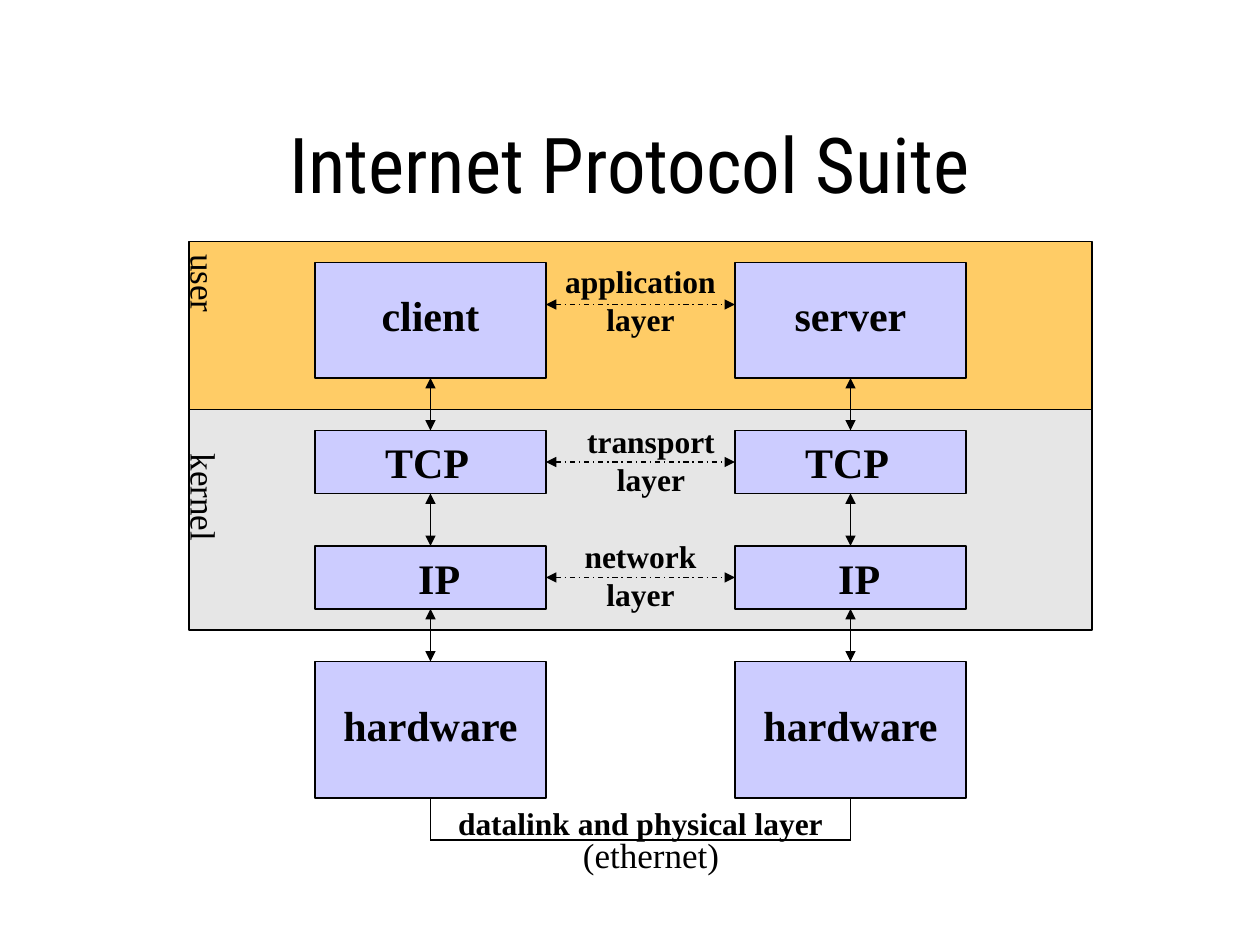
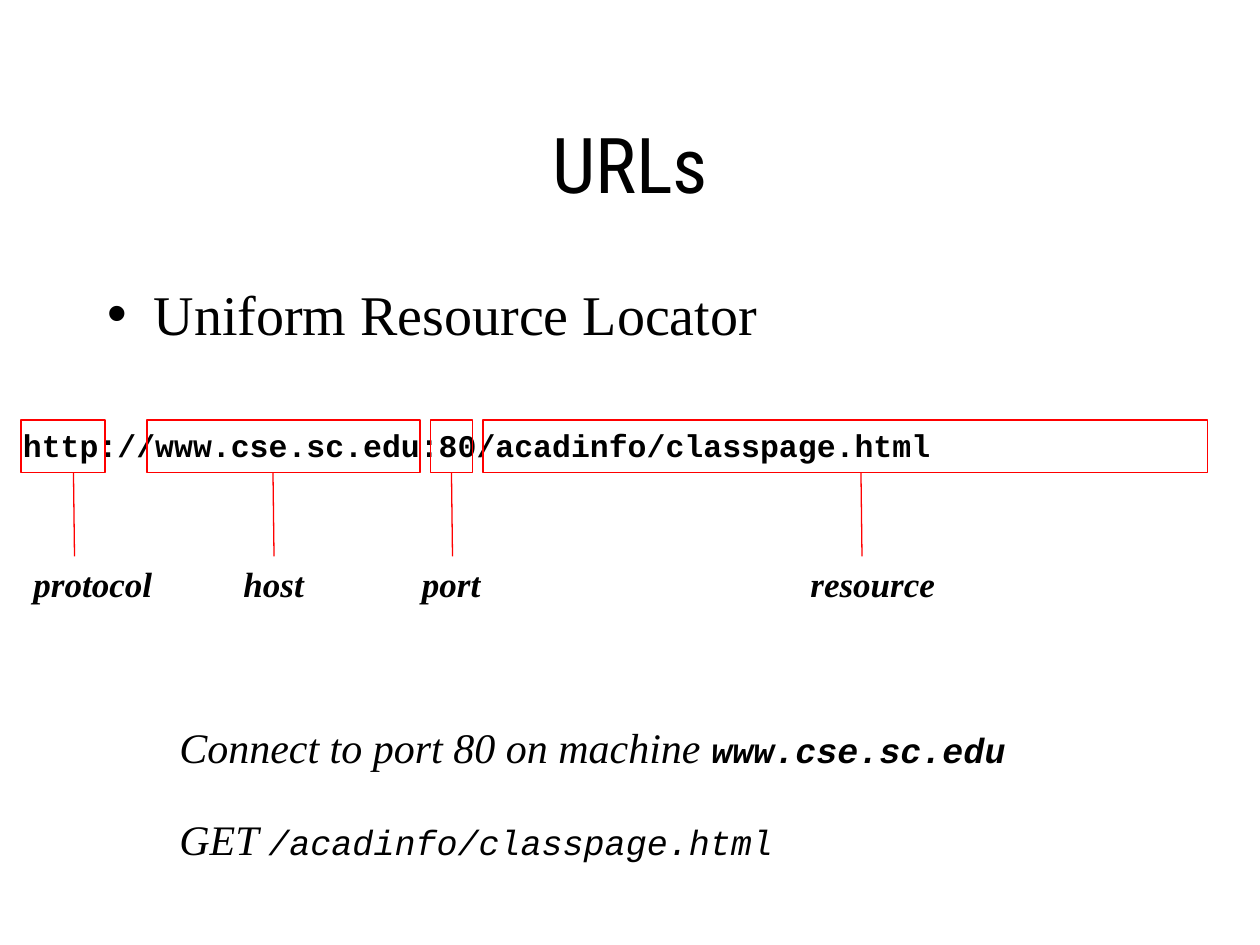
from pptx import Presentation, util as u
from pptx.dml.color import RGBColor
from pptx.enum import dml, shapes, text as tx
from pptx.oxml import parse_xml
from pptx.oxml.ns import nsdecls, qn

BLACK = RGBColor(0x00, 0x00, 0x00)
RED = RGBColor(0xFF, 0x00, 0x00)
GREY = RGBColor(0xE6, 0xE6, 0xE6)
GOLD = RGBColor(0xFF, 0xCC, 0x66)
LILAC = RGBColor(0xCC, 0xCC, 0xFF)
HEAD, SERIF, MONO = "Roboto Condensed", "Times New Roman", "Courier New"
MID = tx.PP_ALIGN.CENTER
LEFT = tx.PP_ALIGN.LEFT

# Grid: 120 columns by 90 rows, twelve to the inch
deck = Presentation()
deck.slide_width, deck.slide_height = u.Inches(10), u.Inches(7.5)


def grid(*cells):
    return [u.Inches(n / 12) for n in cells]


def write(frame, *paras, size=20, font=SERIF, bold=False, italic=False,
          align=MID, gap=0):
    """Fill a frame; a paragraph is a string or a list of (words, format)."""
    for i, para in enumerate(paras):
        p = frame.paragraphs[0] if i == 0 else frame.add_paragraph()
        p.alignment, p.space_before = align, u.Pt(gap)
        for words, own in [(para, {})] if isinstance(para, str) else para:
            r = p.add_run()
            r.text = words
            f = r.font
            f.size = u.Pt(own.get("size", size))
            f.name = own.get("font", font)
            f.bold = own.get("bold", bold)
            f.italic = own.get("italic", italic)
            f.color.rgb = BLACK


def label(slide, box, *paras, wrap=True, turn=False, **form):
    frame = slide.shapes.add_textbox(*grid(*box)).text_frame
    frame.word_wrap = wrap
    if turn:
        # A turned label keeps its full height, so that it stays centred
        frame.auto_size = tx.MSO_AUTO_SIZE.NONE
        frame._txBody.bodyPr.set("vert", "eaVert")
        frame.margin_left = frame.margin_right = u.Inches(0.05)
        frame.margin_top = frame.margin_bottom = u.Inches(0.1)
    else:
        frame.auto_size = tx.MSO_AUTO_SIZE.SHAPE_TO_FIT_TEXT
    write(frame, *paras, **form)


def rect(slide, box, fill=None, line=BLACK):
    shape = slide.shapes.add_shape(shapes.MSO_SHAPE.RECTANGLE, *grid(*box))
    shape.shadow.inherit = False
    if fill is None:
        shape.fill.background()
    else:
        shape.fill.solid()
        shape.fill.fore_color.rgb = fill
    shape.line.color.rgb, shape.line.width = line, u.Pt(0.75)


def wire(slide, ends, color=BLACK, heads=False, dash=False):
    link = slide.shapes.add_connector(shapes.MSO_CONNECTOR.STRAIGHT, *grid(*ends))
    link.line.color.rgb, link.line.width = color, u.Pt(0.75)
    if dash:
        link.line.dash_style = dml.MSO_LINE.DASH_DOT
    props = link._element.spPr
    if heads:
        for tag in ("headEnd", "tailEnd"):
            end = parse_xml(f'<a:{tag} {nsdecls("a")} type="triangle"/>')
            props.find(qn("a:ln")).append(end)
    props.append(parse_xml(f'<a:effectLst {nsdecls("a")}/>'))


def start(layout, title):
    slide = deck.slides.add_slide(deck.slide_layouts[layout])
    hold(slide.shapes.title, (9, 8, 102, 15), title, size=44, font=HEAD)
    slide.shapes.title.text_frame.vertical_anchor = tx.MSO_ANCHOR.MIDDLE
    return slide


def hold(shape, box, words, **form):
    """Move a placeholder and fill it."""
    shape.left, shape.top, shape.width, shape.height = grid(*box)
    shape.text_frame.auto_size = tx.MSO_AUTO_SIZE.NONE
    write(shape.text_frame, words, **form)


# Slide 1: protocol stacks
def band(slide, box, name, fill, inset):
    x, y, w, h = box
    rect(slide, box, fill)
    label(slide, (x - 2.3, y + inset, 6.4, 15), name, turn=True, gap=12.5)


def stack(slide, box, role):
    """One machine: four boxes, joined by arrows, over a cable drop."""
    x, y, w, h = box
    mid = x + w / 2
    # name, top, height, label left, label top, label width
    parts = [(role, 0, 11, 4, 2, 14), ("TCP", 16, 6, 5.5, 0, 12),
             ("IP", 27, 6, 8.65, 0, 8), ("hardware", 38, 13, 0, 3, w)]
    for i, (name, top, tall, dx, dy, wide) in enumerate(parts):
        rect(slide, (x, y + top, w, tall), LILAC)
        short = tall == 6
        label(slide, (x + dx, y + top + dy, wide, 6), name, size=24, bold=True,
              align=LEFT if short else MID, gap=0 if short else 15)
        if i < len(parts) - 1:
            wire(slide, (mid, y + top + tall, mid, y + parts[i + 1][1]),
                 heads=True)
    wire(slide, (mid, y + 51, mid, y + h))


def layers(slide, box):
    """The dialogue between the two stacks, layer by layer."""
    x, y, w, h = box
    bold = dict(size=18, bold=True, gap=11.25)
    for name, row, dx, dy in (("application", 4, 0, -0.65),
                              ("transport", 19, 1, -0.4),
                              ("network", 30, 0, -0.4)):
        wire(slide, (x, y + row, x + w, y + row), heads=True, dash=True)
        label(slide, (x + dx, y + row - 4 + dy, w, 8.4), name + " layer", **bold)
    wire(slide, (x - 11, y + h, x + w + 11, y + h))
    label(slide, (x - 10, y + h - 4, 38, 4.8), "datalink and physical layer",
          **bold)
    label(slide, (x - 1, y + h - 1.2, 22, 5.3), "(ethernet)", gap=12.5)


def suite():
    slide = start(5, "Internet Protocol Suite")
    band(slide, (18, 39, 86, 21), "kernel", GREY, 3)
    band(slide, (18, 23, 86, 16), "user", GOLD, 0)
    for x, role in ((30, "client"), (70, "server")):
        stack(slide, (x, 25, 22, 55), role)
    layers(slide, (52, 25, 18, 55))


# Slide 2: the parts of an address
def address(slide, box):
    x, y, w, h = box
    label(slide, (x, y, w, 4.8),
          "http://www.cse.sc.edu:80/acadinfo/classpage.html",
          size=18, font=MONO, bold=True, align=LEFT, gap=11.25)
    # name, frame left and width, wire, label left and width
    for name, left, wide, drop, at, room in (
            ("protocol", 1, 8, 6, 1, 15), ("host", 13, 26, 25, 21, 15),
            ("port", 40, 4, 42, 38, 8), ("resource", 45, 69, 81, 75, 15)):
        rect(slide, (x + left, y, wide, 5), line=RED)
        wire(slide, (x + drop, y + 5, x + drop + 0.1, y + h), RED)
        label(slide, (x + at, y + h, room, 5.3), name, bold=True, italic=True,
              align=LEFT, gap=12.5)


def urls():
    slide = start(1, "URLs")
    body = slide.placeholders[1]
    hold(body, (9, 26, 102, 9), "Uniform Resource Locator", size=32,
         align=LEFT, gap=8)
    props = body.text_frame.paragraphs[0]._p.get_or_add_pPr()
    props.set("marL", str(u.Inches(0.37)))
    props.set("indent", str(-u.Inches(0.37)))
    address(slide, (1, 40, 117, 13))
    code = dict(size=20, font=MONO)
    label(slide, (15.9, 68.1, 81.1, 14.9),
          [("Connect to port 80 on machine ", {}),
           ("www.cse.sc.edu", dict(code, bold=True))],
          [("GET ", {}), ("/acadinfo/classpage.html", code)],
          size=24, italic=True, align=LEFT, gap=24, wrap=False)


suite()
urls()
deck.save("out.pptx")
